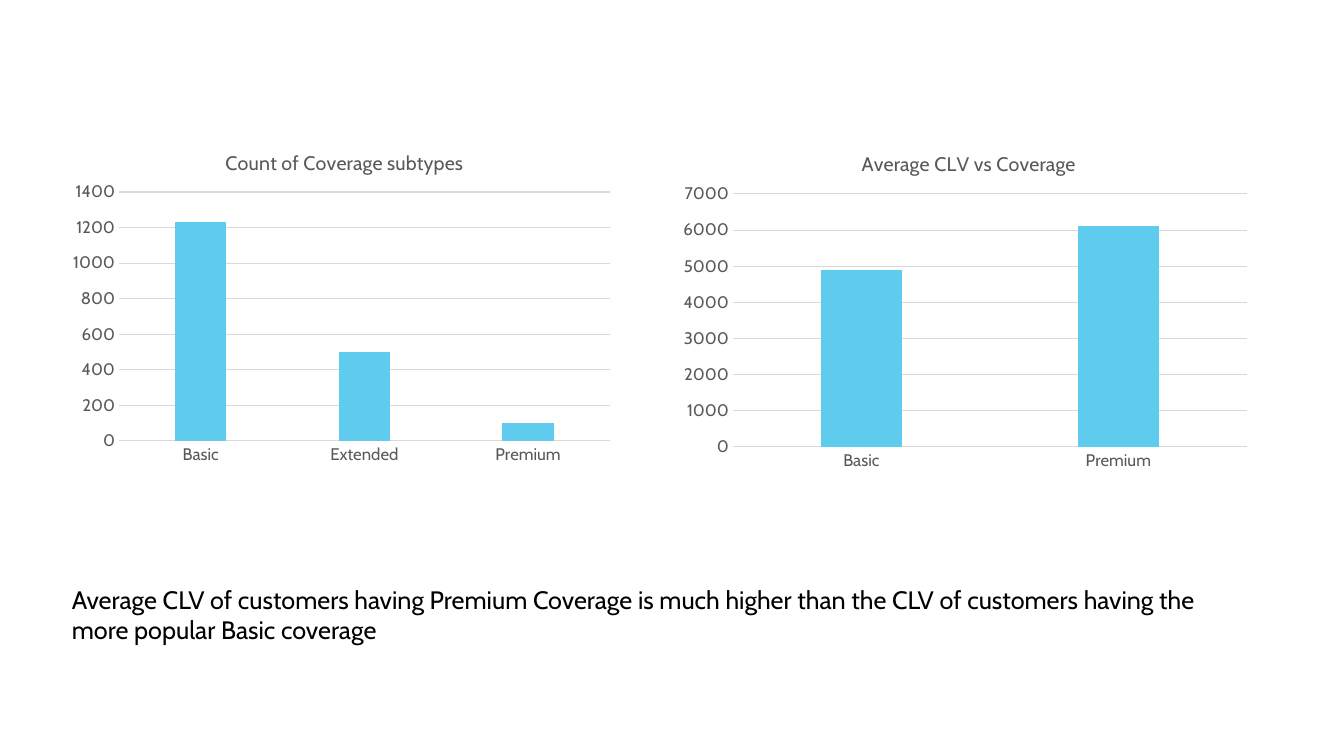
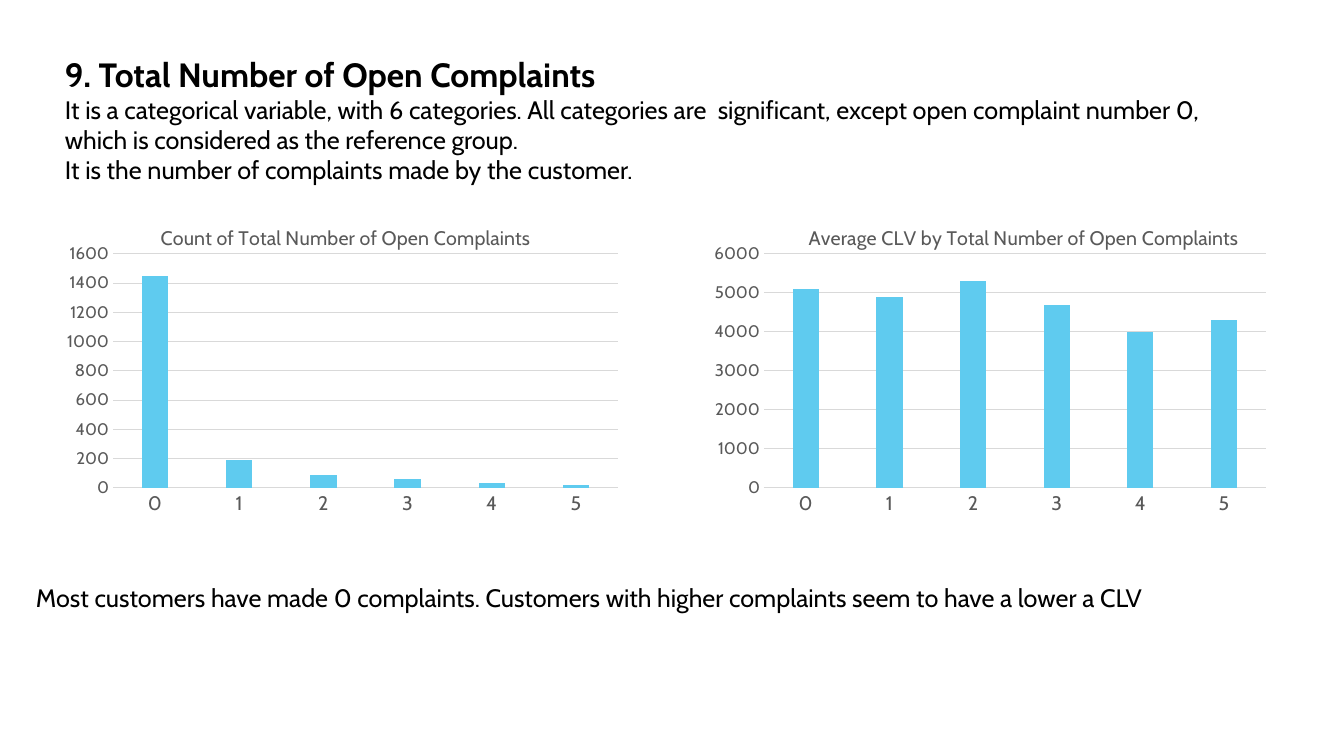
import pptx
import pptx.chart.data
import pptx.dml.color
import pptx.enum.chart
import pptx.enum.text
import pptx.oxml
import pptx.oxml.ns
import pptx.util

EMU_PER_PIXEL = 914400 / 100.8
FONT = "Cabin"
BLACK = "000000"
GRAY = "595959"
RULE = "D9D9D9"
SKY = "5FCBEF"


def px(pixels):
    return pptx.util.Emu(round(pixels * EMU_PER_PIXEL))


def rgb(value):
    return pptx.dml.color.RGBColor.from_string(value)


def set_font(font, size, color, bold=False):
    font.name = FONT
    font.size = pptx.util.Pt(size)
    font.bold = bold
    font.color.rgb = rgb(color)


def set_line(line):
    line.color.rgb = rgb(RULE)
    line.width = pptx.util.Pt(0.75)


def set_layout(parent, index, target, **fractions):
    for old in parent.findall(pptx.oxml.ns.qn("c:layout")):
        parent.remove(old)
    items = [("layoutTarget", target)] if target else []
    items += [("xMode", "edge"), ("yMode", "edge")]
    items += [(name, f"{value:.4f}") for name, value in fractions.items()]
    body = "".join(f'<c:{name} val="{value}"/>' for name, value in items)
    parent.insert(index, pptx.oxml.parse_xml(
        f'<c:layout {pptx.oxml.ns.nsdecls("c")}>'
        f"<c:manualLayout>{body}</c:manualLayout></c:layout>"))


class Deck:
    def __init__(self):
        self.prs = pptx.Presentation()
        self.prs.slide_width = px(1344)
        self.prs.slide_height = px(756)
        self.s = None

    def slide(self):
        self.s = self.prs.slides.add_slide(self.prs.slide_layouts[6])

    def text(self, box, *lines, heading=None):
        tf = self.s.shapes.add_textbox(*map(px, box)).text_frame
        tf.word_wrap = True
        tf.auto_size = pptx.enum.text.MSO_AUTO_SIZE.SHAPE_TO_FIT_TEXT
        styled = [(line, 18, False) for line in lines]
        if heading:
            styled.insert(0, (heading, 24, True))
        for i, (line, size, bold) in enumerate(styled):
            p = tf.add_paragraph() if i else tf.paragraphs[0]
            p.text = line
            set_font(p.font, size, BLACK, bold)

    def columns(self, box, plot, title, title_at, values, top, step, label_size=12):
        data = pptx.chart.data.CategoryChartData()
        data.categories = list(values)
        data.add_series("Series 1", list(values.values()))
        kind = pptx.enum.chart.XL_CHART_TYPE.COLUMN_CLUSTERED
        chart = self.s.shapes.add_chart(kind, *map(px, box), data).chart
        set_font(chart.font, 12, GRAY)
        chart.has_legend = False
        self.chart_title(chart, title)
        self.axes(chart, top, step, label_size)

        bars = chart.plots[0]
        bars.gap_width = 219
        bars.overlap = -27
        bars.vary_by_categories = False
        fill = bars.series[0].format.fill
        fill.solid()
        fill.fore_color.rgb = rgb(SKY)

        left, upper, width, height = box
        qn = pptx.oxml.ns.qn
        set_layout(next(chart.element.iter(qn("c:title"))), 1, None,
                   x=(title_at[0] - left) / width,
                   y=(title_at[1] - upper) / height)
        set_layout(next(chart.element.iter(qn("c:plotArea"))), 0, "inner",
                   x=(plot[0] - left) / width, y=(plot[1] - upper) / height,
                   w=plot[2] / width, h=plot[3] / height)

    def chart_title(self, chart, title):
        chart.has_title = True
        p = chart.chart_title.text_frame.paragraphs[0]
        p.text = title
        set_font(p.font, 14, GRAY)

    def axes(self, chart, top, step, label_size):
        none = pptx.enum.chart.XL_TICK_MARK.NONE
        for axis, size in ((chart.category_axis, label_size), (chart.value_axis, 12)):
            axis.major_tick_mark = none
            axis.minor_tick_mark = none
            set_font(axis.tick_labels.font, size, GRAY)
        set_line(chart.category_axis.format.line)
        scale = chart.value_axis
        scale.minimum_scale = 0
        scale.maximum_scale = top
        scale.major_unit = step
        scale.has_major_gridlines = True
        set_line(scale.major_gridlines.format.line)
        scale.format.line.fill.background()


deck = Deck()

deck.slide()
deck.columns((62, 129, 558, 343), (119, 192, 491, 249),
             "Count of Coverage subtypes", (222, 146),
             {"Basic": 1230, "Extended": 500, "Premium": 100}, 1400, 200)
deck.columns((672, 129, 588, 349), (733, 194, 514, 253),
             "Average CLV vs Coverage", (858, 147),
             {"Basic": 4900, "Premium": 6100}, 7000, 1000)
deck.text((62, 579, 1179, 72),
          "Average CLV of customers having Premium Coverage is much higher than "
          "the CLV of customers having the more popular Basic coverage")

deck.slide()
complaints = ["0", "1", "2", "3", "4", "5"]
average_clv = dict(zip(complaints, (5100, 4900, 5300, 4700, 4000, 4300)))
customer_count = dict(zip(complaints, (1450, 190, 90, 60, 30, 20)))
deck.columns((704, 193, 575, 331), (764, 254, 502, 234),
             "Average CLV by Total Number of Open Complaints", (805, 221),
             average_clv, 6000, 1000, label_size=14)
deck.columns((55, 193, 575, 331), (113, 254, 505, 234),
             "Count of Total Number of Open Complaints", (157, 221),
             customer_count, 1600, 200, label_size=14)
deck.text((55, 49, 1209, 142),
          "It is a categorical variable, with 6 categories. All categories are  "
          "significant, except open complaint number 0, which is considered as "
          "the reference group.",
          "It is the number of complaints made by the customer.",
          heading="9. Total Number of Open Complaints")
deck.text((26, 577, 1209, 40),
          "Most customers have made 0 complaints. Customers with higher "
          "complaints seem to have a lower a CLV")

deck.prs.save("out.pptx")
